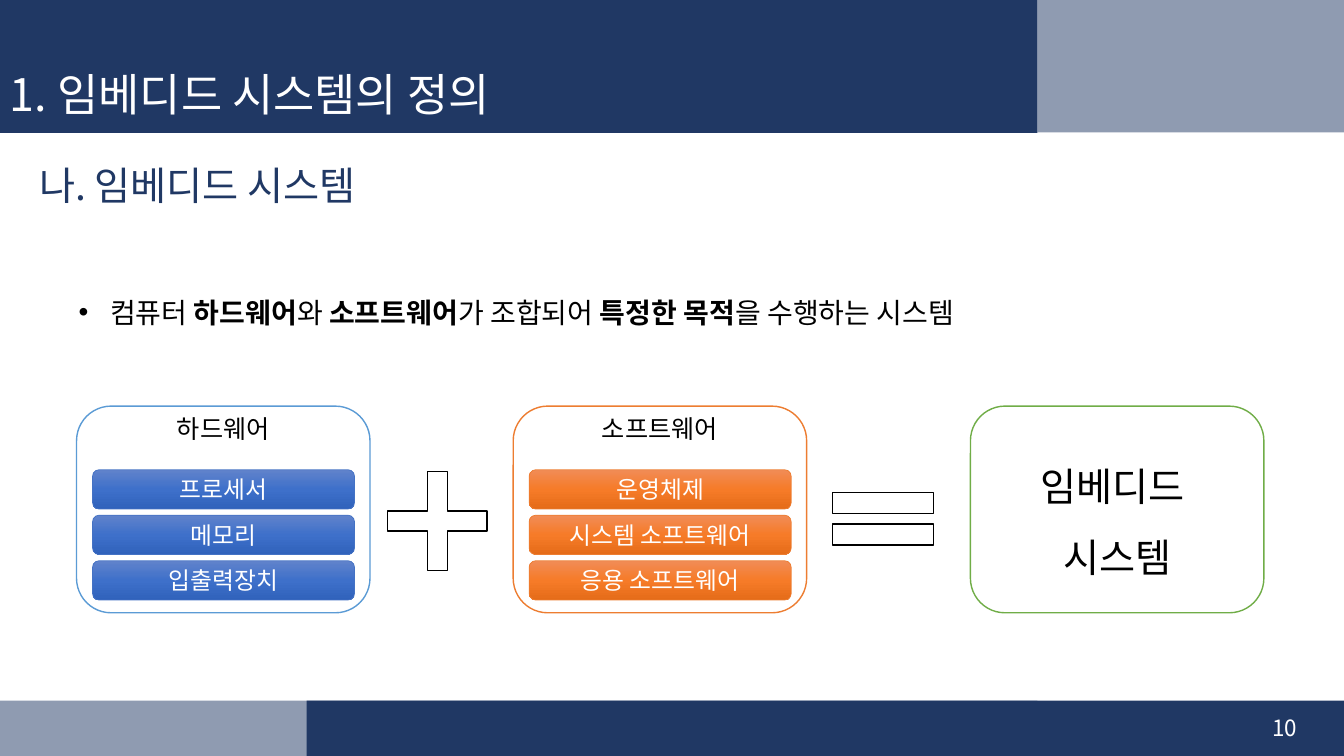
from lxml import etree
from pptx import Presentation
from pptx.dml.color import RGBColor
from pptx.enum import shapes, text
from pptx.oxml import parse_xml
from pptx.oxml.ns import nsdecls, qn
from pptx.util import Pt

FONT = "Noto Sans CJK KR"
HUES = {
    "navy": "203864", "white": "FFFFFF", "black": "000000",
    "sky": "5B9BD5", "blue": "4472C4", "orange": "ED7D31", "green": "70AD47",
}
FADES = {
    "blue": ("6183CB", "3E70CA", "3062BB"),
    "orange": ("F18C57", "F67B28", "E56C19"),
}
KIND = shapes.MSO_SHAPE
ALIGN = text.PP_ALIGN
ANCHOR = text.MSO_ANCHOR


def rgb(hue):
    return RGBColor.from_string(HUES[hue])


class Deck:
    """Holds the font style and the current slide."""

    def __init__(self, font):
        self.font = font
        self.prs = Presentation()
        self.prs.slide_width, self.prs.slide_height = Pt(960), Pt(540)
        self.slide = self.prs.slides.add_slide(self.prs.slide_layouts[6])

    def style(self, run, size, hue, bold=False):
        run.font.name, run.font.size, run.font.bold = self.font, Pt(size), bold
        run.font.color.rgb = rgb(hue)
        east = etree.SubElement(run.font._element, qn("a:ea"))
        east.set("typeface", self.font)

    def shape(self, kind, box, fill, line=None, width=1, adj=(), clear=None):
        item = self.slide.shapes.add_shape(kind, *map(Pt, box))
        item.shadow.inherit = False
        for i, value in enumerate(adj):
            item.adjustments[i] = value
        item.fill.solid()
        item.fill.fore_color.rgb = rgb(fill)
        if clear:
            tint = item.fill._xPr.find(".//" + qn("a:srgbClr"))
            etree.SubElement(tint, qn("a:alpha")).set("val", str(clear * 1000))
        if line:
            item.line.color.rgb, item.line.width = rgb(line), Pt(width)
        else:
            item.line.fill.background()
        return item

    def fade(self, item, hue):
        stops = "".join(
            f'<a:gs pos="{i * 50000}"><a:srgbClr val="{tone}"/></a:gs>'
            for i, tone in enumerate(FADES[hue]))
        grad = parse_xml(
            f'<a:gradFill {nsdecls("a")} rotWithShape="1"><a:gsLst>{stops}</a:gsLst>'
            '<a:lin ang="5400000" scaled="0"/></a:gradFill>')
        props = item._element.spPr
        props.replace(props.find(qn("a:solidFill")), grad)

    def label(self, item, words, size, hue, align=ALIGN.CENTER, anchor=ANCHOR.MIDDLE):
        frame = item.text_frame
        frame.text = words
        frame.vertical_anchor = anchor
        para = frame.paragraphs[0]
        para.alignment = align
        for run in para.runs:
            self.style(run, size, hue)
        return para

    def note(self, box, words, size, hue, align=ALIGN.LEFT, anchor=ANCHOR.TOP, wrap=True):
        item = self.slide.shapes.add_textbox(*map(Pt, box))
        item.text_frame.word_wrap = wrap
        return self.label(item, words, size, hue, align, anchor)

    def bullet(self, box, parts, size, hue, indent):
        para = self.note(box, "", size, hue)
        props = para._p.get_or_add_pPr()
        props.set("marL", str(Pt(indent)))
        props.set("indent", str(-Pt(indent)))
        etree.SubElement(props, qn("a:buFont")).set("typeface", "Arial")
        etree.SubElement(props, qn("a:buChar")).set("char", "•")
        for words, bold in parts:
            run = para.add_run()
            run.text = words
            self.style(run, size, hue, bold)

    def card(self, left, line):
        return self.shape(KIND.ROUNDED_RECTANGLE, (left, 290.1, 209.6, 147.6),
                          "white", line, adj=[0.167])

    def stack(self, left, line, hue, title, rows):
        card = self.card(left, line)
        card.text_frame.margin_top = 0
        para = self.label(card, title, 18, "black", anchor=ANCHOR.TOP)
        para.line_spacing = 0.9
        for i, words in enumerate(rows):
            bar = self.shape(KIND.ROUNDED_RECTANGLE,
                             (left + 11.4, 335.5 + i * 32.5, 187.2, 28.1),
                             "white", hue, 0.5, [0.167])
            self.fade(bar, hue)
            self.label(bar, words, 17, "white")


def main():
    deck = Deck(FONT)

    # Header and footer bands
    deck.shape(KIND.RECTANGLE, (0, 0, 741, 95), "navy")
    deck.shape(KIND.RECTANGLE, (219, 500.4, 741, 39.6), "navy")
    deck.shape(KIND.RECTANGLE, (0, 500.4, 741, 39.6), "navy", clear=50)
    deck.shape(KIND.RECTANGLE, (741, 0, 219, 94.6), "navy", clear=50)

    # Headings
    deck.note((0, 43.9, 392.4, 45.4), "1. 임베디드 시스템의 정의", 32, "white",
              anchor=ANCHOR.MIDDLE, wrap=False)
    deck.note((20.9, 111.6, 323.3, 40.3), "나. 임베디드 시스템", 28, "navy")

    # Definition
    deck.bullet((49, 207.4, 743, 31.7), [
        ("컴퓨터 ", False), ("하드웨어", True), ("와 ", False),
        ("소프트웨어", True), ("가 조합되어 ", False),
        ("특정한 목적", True), ("을 수행하는 시스템", False),
    ], 20, "black", 22.5)

    # Hardware plus software equals embedded system
    deck.stack(54.7, "sky", "blue", "하드웨어", ["프로세서", "메모리", "입출력장치"])
    deck.stack(366.6, "orange", "orange", "소프트웨어",
               ["운영체제", "시스템 소프트웨어", "응용 소프트웨어"])
    deck.shape(KIND.MATH_PLUS, (264.2, 324, 96.5, 96.5), "white", "black", adj=[0.147])
    deck.shape(KIND.MATH_EQUAL, (581.8, 338.4, 97.9, 64.1), "white", "black",
               adj=[0.235, 0.118])
    result = deck.label(deck.card(693.2, "green"), "임베디드 \v시스템", 28, "black")
    result.line_spacing = 1.5

    # Page number
    deck.note((717.8, 505.4, 216, 28.8), "10", 16, "white", ALIGN.RIGHT, ANCHOR.MIDDLE)

    deck.prs.save("out.pptx")


if __name__ == "__main__":
    main()
